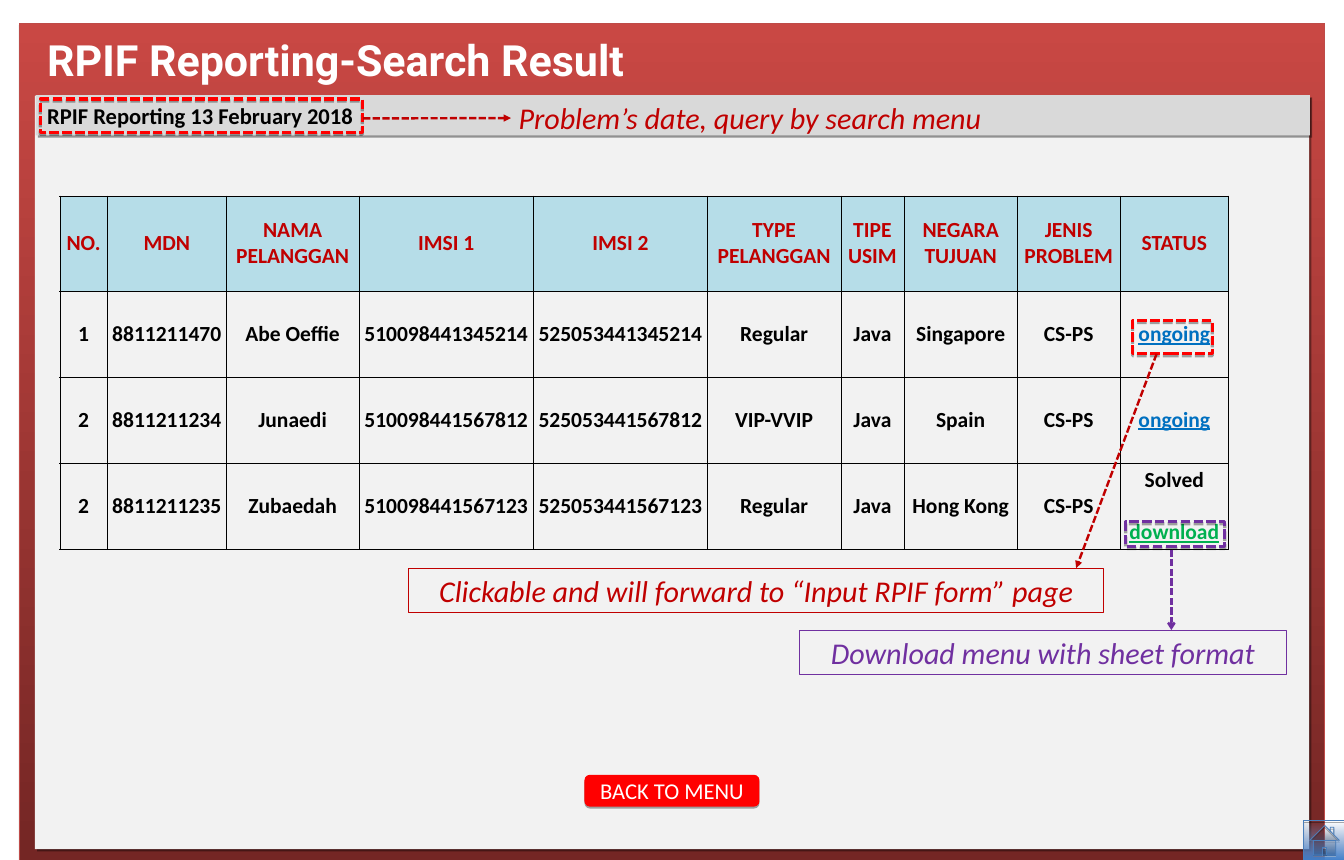
from lxml import etree
from pptx import Presentation, util as u
from pptx.dml.color import RGBColor
from pptx.enum import dml, shapes, text
from pptx.oxml import parse_xml
from pptx.oxml.ns import nsdecls, qn

COLOURS = {
    "white": "FFFFFF", "black": "000000", "panel": "F2F2F2", "bar": "D9D9D9",
    "red": "FF0000", "dark red": "C00000", "purple": "7030A0", "link": "0070C0",
    "download": "00B050", "header": "B6DDE8", "frame line": "BE4B48",
    "frame dark": "742624", "frame light": "C94844", "home line": "4A7EBB",
    "home dark": "3F80CD", "home light": "9BC1FF",
}
RGB = {name: RGBColor.from_string(value) for name, value in COLOURS.items()}
SOFT = (35, 1.8, 90)
DEEP = (40, 3, 45)
RECTANGLE = shapes.MSO_SHAPE.RECTANGLE

deck = Presentation()
deck.slide_width, deck.slide_height = u.Inches(17.36), u.Inches(11.11)
page = deck.slides.add_slide(deck.slide_layouts[5])


def add_box(at, fill=None, line=None, width=0.75, shadow=None, kind=RECTANGLE):
    """Add a shape; fill is a colour or a (bottom, top) pair, shadow is opacity, distance, angle."""
    box = page.shapes.add_shape(kind, *map(u.Inches, at))
    if isinstance(fill, tuple):
        box.fill.gradient()
        box.fill.gradient_angle = 90
        for stop, name in zip(box.fill.gradient_stops, fill):
            stop.color.rgb = RGB[name]
    elif fill:
        box.fill.solid()
        box.fill.fore_color.rgb = RGB[fill]
    else:
        box.fill.background()
    if line:
        box.line.color.rgb = RGB[line]
        box.line.width = u.Pt(width)
    else:
        box.line.fill.background()
    box.shadow.inherit = False
    if shadow:
        opacity, distance, angle = shadow
        effects = box._element.spPr.find(qn("a:effectLst"))
        effects.append(parse_xml(
            f'<a:outerShdw {nsdecls("a")} blurRad="0" dist="{u.Pt(distance)}" '
            f'dir="{angle * 60000}" rotWithShape="0"><a:srgbClr val="{COLOURS["black"]}">'
            f'<a:alpha val="{opacity * 1000}"/></a:srgbClr></a:outerShdw>'))
    return box


def write(para, words, size, colour, align=text.PP_ALIGN.CENTER, font="Calibri",
          bold=False, italic=False, underline=False):
    para.alignment = align
    for index, words_line in enumerate(words.split("\n")):
        if index:
            para.add_line_break()
        span = para.add_run()
        span.text = words_line
        span.font.name, span.font.size = font, u.Pt(size)
        span.font.color.rgb = RGB[colour]
        span.font.bold, span.font.italic = bold, italic
        span.font.underline = underline


# Frame, panel, date bar and buttons
add_box((0.25, 0.3, 16.86, 10.81), ("frame dark", "frame light"), "frame line", shadow=SOFT)
add_box((0.45, 1.24, 16.46, 9.73), "panel", shadow=DEEP)
date_bar = add_box((0.46, 1.23, 16.46, 0.52), "bar", shadow=DEEP)
menu_button = add_box((7.55, 10.01, 2.26, 0.41), "red", shadow=SOFT,
                      kind=shapes.MSO_SHAPE.ROUNDED_RECTANGLE)
for box in (date_bar, menu_button):
    frame = box.text_frame
    frame.margin_left = frame.margin_right = u.Inches(0.15)
    frame.margin_top = frame.margin_bottom = u.Inches(0.07)
    frame.vertical_anchor = text.MSO_ANCHOR.MIDDLE
write(date_bar.text_frame.paragraphs[0], "RPIF Reporting 13 February 2018", 21, "black",
      text.PP_ALIGN.LEFT, bold=True)
write(menu_button.text_frame.paragraphs[0], "BACK TO MENU", 21, "white")

home_button = add_box((16.84, 10.6, 0.54, 0.51), ("home dark", "home light"), "home line",
                      shadow=SOFT, kind=shapes.MSO_SHAPE.ACTION_BUTTON_HOME)
top_colour = home_button._element.spPr.findall(".//" + qn("a:gs"))[-1][0]
etree.SubElement(top_colour, qn("a:alpha"), val="0")

# Title, brought in front of the frame
title = page.shapes.title
page.shapes._spTree.append(title._element)
title.left, title.top, title.width, title.height = map(u.Inches, (0.45, 0.36, 12.05, 0.89))
frame = title.text_frame
frame.auto_size = text.MSO_AUTO_SIZE.NONE
frame.vertical_anchor = text.MSO_ANCHOR.MIDDLE
frame.margin_left = frame.margin_right = u.Inches(0.16)
frame.margin_top = frame.margin_bottom = u.Inches(0.08)
frame.paragraphs[0].line_spacing = 0.9
write(frame.paragraphs[0], "RPIF Reporting-Search Result", 40, "white",
      text.PP_ALIGN.LEFT, "Roboto", bold=True)

# Search results
ROWS = [
    ["NO.", "MDN", "NAMA\nPELANGGAN", "IMSI 1", "IMSI 2", "TYPE\nPELANGGAN",
     "TIPE\nUSIM", "NEGARA\nTUJUAN", "JENIS\nPROBLEM", "STATUS"],
    ["1", "8811211470", "Abe Oeffie", "510098441345214", "525053441345214", "Regular",
     "Java", "Singapore", "CS-PS", "ongoing"],
    ["2", "8811211234", "Junaedi", "510098441567812", "525053441567812", "VIP-VVIP",
     "Java", "Spain", "CS-PS", "ongoing"],
    ["2", "8811211235", "Zubaedah", "510098441567123", "525053441567123", "Regular",
     "Java", "Hong Kong", "CS-PS", "Solved"],
]
WIDTHS = [0.62, 1.53, 1.72, 2.25, 2.25, 1.72, 0.82, 1.46, 1.33, 1.4]
HEIGHTS = [1.23, 1.11, 1.11, 1.11]
results = page.shapes.add_table(len(ROWS), len(WIDTHS), u.Inches(0.77), u.Inches(2.53),
                                u.Inches(sum(WIDTHS)), u.Inches(sum(HEIGHTS))).table
results.first_row = results.horz_banding = False
for column, width in zip(results.columns, WIDTHS):
    column.width = u.Inches(width)
for row, height, values in zip(results.rows, HEIGHTS, ROWS):
    row.height = u.Inches(height)
    is_header = values is ROWS[0]
    for cell, value in zip(row.cells, values):
        cell.margin_left = cell.margin_right = u.Inches(0.01)
        cell.margin_top = cell.margin_bottom = u.Inches(0.05)
        cell.vertical_anchor = text.MSO_ANCHOR.MIDDLE
        for side in "LRTB":
            cell._tc.get_or_add_tcPr().append(parse_xml(
                f'<a:ln{side} {nsdecls("a")} w="{u.Pt(0.23)}"><a:solidFill>'
                f'<a:srgbClr val="{COLOURS["black"]}"/></a:solidFill></a:ln{side}>'))
        if is_header:
            cell.fill.solid()
            cell.fill.fore_color.rgb = RGB["header"]
        else:
            cell.fill.background()
        is_link = value == "ongoing"
        colour = "dark red" if is_header else "link" if is_link else "black"
        write(cell.text_frame.paragraphs[0], value, 20, colour, bold=True, underline=is_link)
download = results.cell(3, 9).text_frame.add_paragraph()
download.space_before = u.Pt(24)
write(download, "download", 20, "download", bold=True, underline=True)

# Dashed highlights
for at, colour in [((0.52, 1.28, 4.16, 0.43), "red"), ((14.63, 4.14, 1.03, 0.43), "red"),
                   ((14.54, 6.74, 1.28, 0.32), "purple")]:
    highlight = add_box(at, line=colour, width=3, shadow=SOFT)
    highlight.line.dash_style = dml.MSO_LINE.SQUARE_DOT

# Remarks
date_remark = page.shapes.add_textbox(*map(u.Inches, (6.6, 1.24, 7.3, 0.57)))
form_remark = add_box((5.28, 7.34, 8.97, 0.57), line="dark red")
sheet_remark = add_box((10.33, 8.14, 6.28, 0.57), line="purple")
for box, words, colour, align in [
    (date_remark, "Problem’s date, query by search menu", "dark red", text.PP_ALIGN.LEFT),
    (form_remark, "Clickable and will forward to “Input RPIF form” page", "dark red",
     text.PP_ALIGN.CENTER),
    (sheet_remark, "Download menu with sheet format", "purple", text.PP_ALIGN.CENTER),
]:
    box.text_frame.word_wrap = True
    box.text_frame.vertical_anchor = text.MSO_ANCHOR.TOP
    write(box.text_frame.paragraphs[0], words, 28, colour, align, italic=True)

# Arrows from highlights to remarks
for ends, colour, head, target in [
    ((4.69, 1.53, 6.6, 1.53), "dark red", "triangle", date_remark),
    ((14.94, 4.57, 13.9, 7.34), "dark red", "triangle", None),
    ((15.13, 7.1, 15.13, 8.14), "purple", "arrow", None),
]:
    arrow = page.shapes.add_connector(shapes.MSO_CONNECTOR.STRAIGHT, *map(u.Inches, ends))
    arrow.line.color.rgb = RGB[colour]
    arrow.line.width = u.Pt(2.25)
    arrow.line.dash_style = dml.MSO_LINE.SQUARE_DOT
    etree.SubElement(arrow.line._get_or_add_ln(), qn("a:tailEnd"), type=head)
    etree.SubElement(arrow._element.spPr, qn("a:effectLst"))
    if target:
        arrow.end_connect(target, 1)

deck.save("out.pptx")
